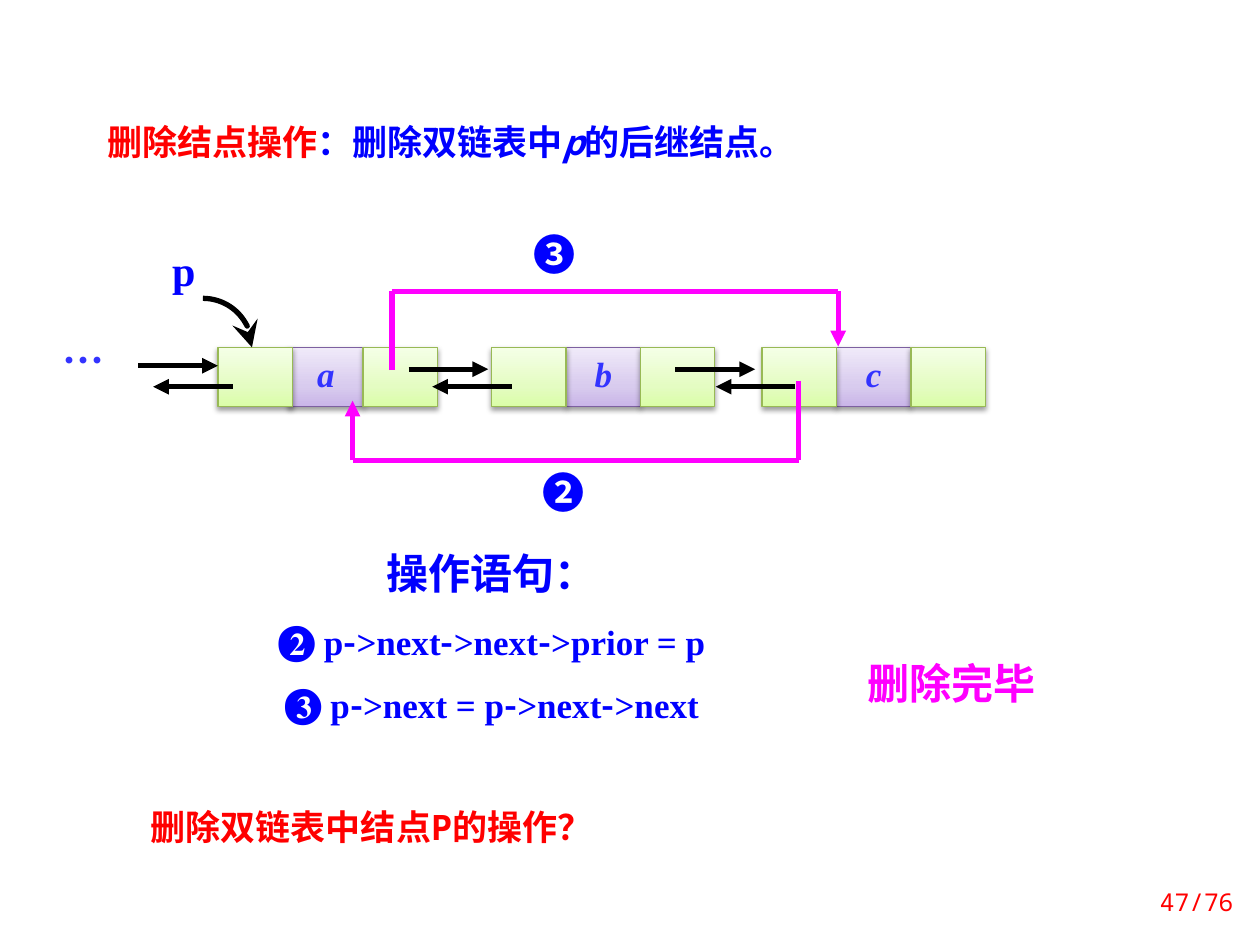
from dataclasses import dataclass

from pptx import Presentation
from pptx import util as u
from pptx.dml.color import RGBColor
from pptx.enum import shapes, text
from pptx.oxml import ns, xmlchemy

Pt = u.Pt


@dataclass(frozen=True)
class Theme:
    blue: str = "0000FF"
    soft_blue: str = "3333FF"
    red: str = "FF0000"
    magenta: str = "FF00FF"
    black: str = "000000"
    serif: str = "Times New Roman"
    sans: str = "Noto Sans CJK SC"
    mono: str = "Noto Sans Mono"
    large: int = 24
    medium: int = 20
    small: int = 14
    stroke: int = 3
    # Cell styles: border colour and gradient stops (percent, colour)
    link_cell: tuple = ("98B955", ((0, "DAFDA7"), (35, "E4FCC2"), (100, "F5FFE7")))
    data_cell: tuple = ("7D60A0", ((0, "C9B5E8"), (35, "D8CBEE"), (100, "F0EAF9")))


@dataclass(frozen=True)
class Box:
    left: float
    top: float
    width: float
    height: float

    def inner(self, left, top, width, height):
        return Box(self.left + left, self.top + top, width, height)

    def lengths(self):
        return [Pt(value) for value in (self.left, self.top, self.width, self.height)]


THEME = Theme()
CELL_WIDTH, CELL_HEIGHT = 42.5, 34
ARROW_LENGTH = 45.5
ALIGN = text.PP_ALIGN


def add_xml(parent, tag, **attributes):
    child = xmlchemy.OxmlElement(tag)
    for name, value in attributes.items():
        child.set(name, str(value))
    parent.append(child)
    return child


def add_run(paragraph, content, color, size, font, **formats):
    run = paragraph.add_run()
    run.text = content
    values = {"size": Pt(size), "name": font, "bold": True, **formats}
    for name, value in values.items():
        setattr(run.font, name, value)
    run.font.color.rgb = RGBColor.from_string(color)
    add_xml(run.font._element, "a:ea", typeface=THEME.sans)


def format_paragraph(paragraph, **formats):
    for name, value in formats.items():
        setattr(paragraph, name, value)


def format_frame(shape, **formats):
    values = {"word_wrap": True, "auto_size": text.MSO_AUTO_SIZE.NONE,
              "vertical_anchor": text.MSO_ANCHOR.TOP, **formats}
    for name, value in values.items():
        setattr(shape.text_frame, name, value)
    return shape.text_frame


def place(shape, box):
    for name, value in zip(("left", "top", "width", "height"), box.lengths()):
        setattr(shape, name, value)


def add_label(parent, box, content, color, size=THEME.large, font=THEME.sans,
              align=ALIGN.CENTER, spacing=0.8, bold=True, **frame_formats):
    label = parent.add_textbox(*box.lengths())
    paragraph = format_frame(label, **frame_formats).paragraphs[0]
    format_paragraph(paragraph, alignment=align, line_spacing=spacing)
    add_run(paragraph, content, color, size, font, bold=bold)


def style_line(shape, color, head=None, head_size="med"):
    shape.line.color.rgb = RGBColor.from_string(color)
    shape.line.width = Pt(THEME.stroke)
    if head:
        line = shape.element.spPr.find(ns.qn("a:ln"))
        add_xml(line, "a:tailEnd", type=head, w=head_size, len=head_size)


def add_line(parent, box, start, end, color, head=None):
    points = [Pt(value) for x, y in (start, end)
              for value in (box.left + x, box.top + y)]
    connector = parent.add_connector(shapes.MSO_CONNECTOR.STRAIGHT, *points)
    style_line(connector, color, head)
    add_xml(connector.element.spPr, "a:effectLst")


def add_cell(parent, box, style, content=""):
    border, stops = style
    cell = parent.add_shape(shapes.MSO_SHAPE.RECTANGLE, *box.lengths())
    cell.fill.gradient()
    cell.fill.gradient_angle = 90
    cell.line.color.rgb = RGBColor.from_string(border)
    cell.line.width = Pt(0.75)
    cell.shadow.inherit = False
    properties = cell.element.spPr
    stop_list = properties.find(".//" + ns.qn("a:gsLst"))
    for stop in list(stop_list):
        stop_list.remove(stop)
    for position, color in stops:
        stop = add_xml(stop_list, "a:gs", pos=position * 1000)
        add_xml(stop, "a:srgbClr", val=color)
    shadow = add_xml(properties.find(ns.qn("a:effectLst")), "a:outerShdw",
                     blurRad=Pt(3.1), dist=Pt(1.6), dir=90 * 60000, rotWithShape=0)
    add_xml(add_xml(shadow, "a:srgbClr", val=THEME.black), "a:alpha", val=38000)
    if content:
        frame = format_frame(cell, word_wrap=False,
                             vertical_anchor=text.MSO_ANCHOR.MIDDLE)
        format_paragraph(frame.paragraphs[0], alignment=ALIGN.CENTER, line_spacing=0.8)
        add_run(frame.paragraphs[0], content, THEME.soft_blue, THEME.medium,
                THEME.serif, italic=True)


def add_node(parent, box, name, prior_shift=0):
    """Draw data, next and prior cells; the prior cell may overlap the data cell."""
    for left, style, content in ((CELL_WIDTH, THEME.data_cell, name),
                                 (2 * CELL_WIDTH, THEME.link_cell, ""),
                                 (prior_shift, THEME.link_cell, "")):
        add_cell(parent, box.inner(left, 0, CELL_WIDTH, CELL_HEIGHT), style, content)


def add_quarter_arrow(parent, box):
    radius = Pt(box.width)
    left, top = Pt(box.left), Pt(box.top)
    builder = parent.build_freeform(left, top)
    builder.add_line_segments([(left + radius, top + radius)], close=False)
    arrow = builder.convert_to_shape()
    segment = arrow.element.spPr.find(".//" + ns.qn("a:lnTo"))
    curve_path = segment.getparent()
    curve_path.remove(segment)
    add_xml(curve_path, "a:arcTo", wR=radius, hR=radius,
            stAng=270 * 60000, swAng=90 * 60000)
    arrow.fill.background()
    arrow.shadow.inherit = False
    style_line(arrow, THEME.black, "stealth", "lg")


def add_relink(parent, box, points, label, label_left, label_top):
    """Group a bent arrow through the points with its step number."""
    group = parent.add_group_shape().shapes
    last = len(points) - 2
    for index, (start, end) in enumerate(zip(points, points[1:])):
        add_line(group, box, start, end, THEME.magenta,
                 "triangle" if index == last else None)
    add_label(group, box.inner(label_left, label_top, 34, 36), label, THEME.blue)


def add_list_diagram(parent, box):
    for name, left, shift in (("a", 97.5, 2), ("b", 256, 0), ("c", 410.5, 0)):
        add_node(parent, box.inner(left, 66.5, 3 * CELL_WIDTH, CELL_HEIGHT), name, shift)
    for x, y, direction in ((54, 77, 1), (208.5, 79, 1), (361, 79, 1),
                            (108, 89, -1), (267.5, 89, -1), (429.5, 89, -1)):
        add_line(parent, box, (x, y), (x + direction * ARROW_LENGTH, y),
                 THEME.black, "triangle")
    add_quarter_arrow(parent, box.inner(91, 38.5, 28, 28))
    add_label(parent, box.inner(63, 10, 34, 36), "p", THEME.blue, font=THEME.serif)
    add_label(parent, box.inner(0, 61, 45, 36), "…", THEME.soft_blue)
    add_relink(parent, box, [(431.5, 85.5), (431.5, 131), (176.5, 131), (176.5, 97)],
               "❷", 278, 136.5)
    add_relink(parent, box, [(199, 79.5), (199, 34.5), (454, 34.5), (454, 66)],
               "❸", 272.5, 0.5)


def add_heading(title, box):
    place(title, box)
    paragraph = format_frame(title).paragraphs[0]
    format_paragraph(paragraph, alignment=ALIGN.LEFT)
    for content, color, italic in (("删除结点操作", THEME.red, False),
                                   ("：删除双链表中", THEME.blue, False),
                                   ("p", THEME.blue, True),
                                   ("的后继结点。", THEME.blue, False)):
        add_run(paragraph, content, color, THEME.medium, THEME.mono, italic=italic)


def add_statements(body, box):
    place(body, box)
    frame = format_frame(body)
    for index, (lead, code, before) in enumerate((
            ("操作语句：", "", 0),
            ("❷", " p->next->next->prior = p", 14),
            ("❸", " p->next = p->next->next", 12))):
        paragraph = frame.add_paragraph() if index else frame.paragraphs[0]
        format_paragraph(paragraph, alignment=ALIGN.CENTER, line_spacing=Pt(24),
                         space_before=Pt(before))
        properties = paragraph._p.get_or_add_pPr()
        properties.set("marL", "0")
        properties.set("indent", "0")
        add_xml(properties, "a:buNone")
        add_run(paragraph, lead, THEME.blue, THEME.large, THEME.serif)
        for part_index, part in enumerate(code.split("-") if code else []):
            if part_index:
                add_run(paragraph, "-", THEME.blue, THEME.medium, THEME.sans)
            add_run(paragraph, part, THEME.blue, THEME.medium, THEME.serif)


def main():
    presentation = Presentation()
    presentation.slide_width, presentation.slide_height = Pt(720), Pt(540)
    slide = presentation.slides.add_slide(presentation.slide_layouts[1])
    add_heading(slide.shapes.title, Box(54, 65.5, 428, 31.5))
    add_list_diagram(slide.shapes, Box(25, 132, 540, 173))
    add_statements(slide.placeholders[1], Box(99.5, 314, 363, 109))
    add_label(slide.shapes, Box(462, 378, 164, 36), "删除完毕", THEME.magenta)
    add_label(slide.shapes, Box(79, 457, 428, 31.5), "删除双链表中结点P的操作？", THEME.red,
              THEME.medium, THEME.mono, ALIGN.LEFT, 1.0)
    add_label(slide.shapes, Box(646.5, 500.5, 65.5, 29), "47/76", THEME.red, THEME.small,
              THEME.mono, ALIGN.RIGHT, 1.0, False, vertical_anchor=text.MSO_ANCHOR.MIDDLE)
    presentation.save("out.pptx")


if __name__ == "__main__":
    main()
